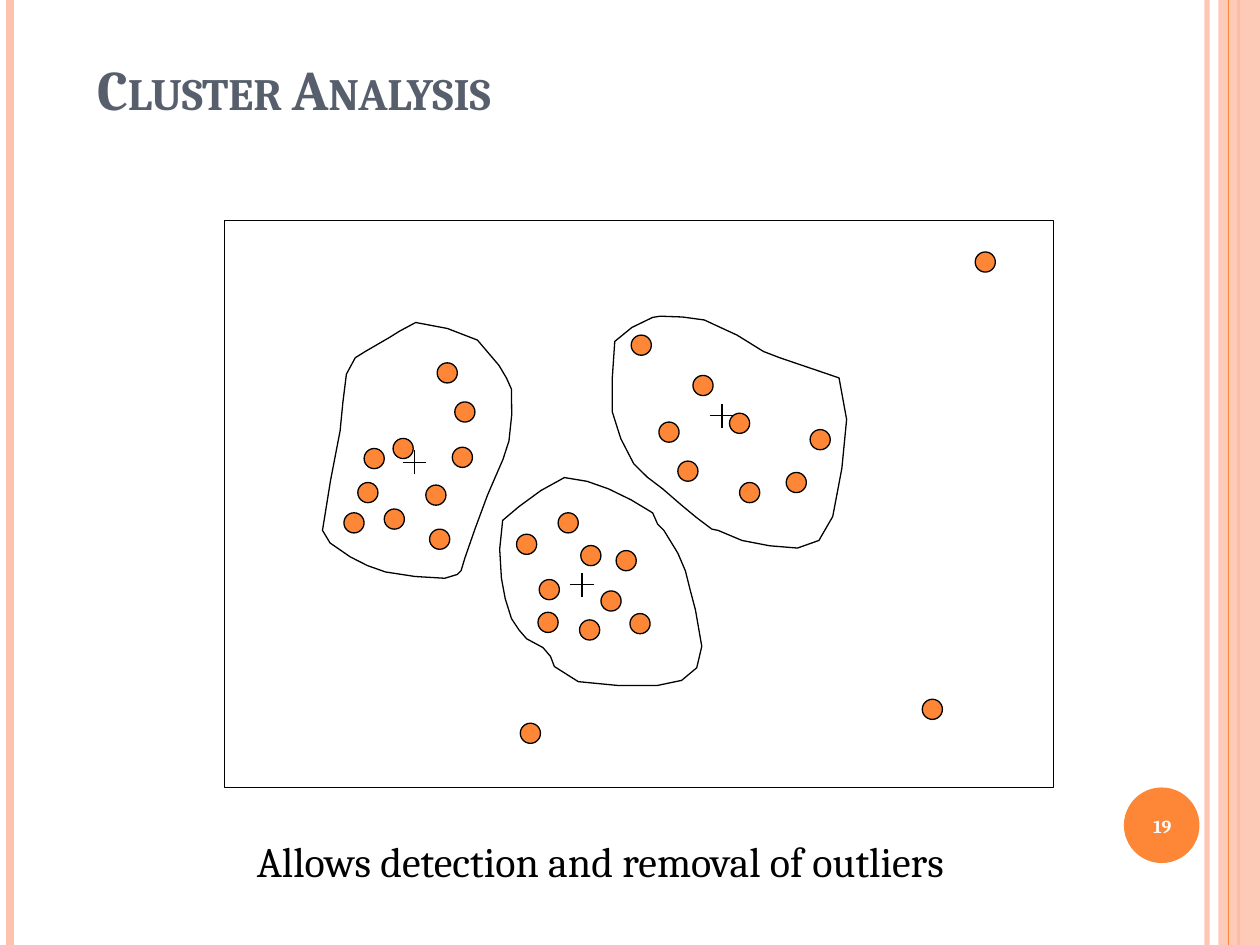
import math

import pptx
import pptx.util
import pptx.dml.color
import pptx.enum.shapes
import pptx.enum.text
import pptx.oxml.ns
import lxml.etree

Inches = pptx.util.Inches
SHAPE = pptx.enum.shapes.MSO_SHAPE
ALIGN = pptx.enum.text.PP_ALIGN
ANCHOR = pptx.enum.text.MSO_ANCHOR
qn = pptx.oxml.ns.qn

COLORS = {"orange": "FE8637", "peach": "FEC3AE", "slate": "575F6D",
          "white": "FFFFFF", "black": "000000"}
DOT = 0.16
CROSS = 0.19
OUTLIERS = [(7.32, 5.55), (4.13, 5.74), (7.74, 2)]
CLUSTERS = [
    {"center": (3.29, 3.67),
     "dots": [(3.05, 4.04), (2.84, 3.83), (3.38, 3.85), (3.12, 3.48), (2.73, 4.07),
              (2.89, 3.56), (3.41, 4.2), (3.59, 3.55), (3.61, 3.19), (3.47, 2.88)],
     "outline": [(3.87, 3.93), (3.77, 4.2), (3.69, 4.43), (3.66, 4.53), (3.63, 4.56),
                 (3.53, 4.59), (3.06, 4.54), (2.78, 4.42), (2.62, 4.31), (2.56, 4.21),
                 (2.7, 3.42), (2.75, 2.97), (2.82, 2.84), (2.9, 2.79), (3.09, 2.68),
                 (3.17, 2.63), (3.3, 2.56), (3.79, 2.7), (3.96, 2.9), (4.02, 3),
                 (4.06, 3.09), (4.04, 3.5), (3.93, 3.79)]},
    {"center": (5.73, 3.3),
     "dots": [(5.5, 2.98), (5.38, 3.66), (5.79, 3.28), (5.23, 3.35), (6.43, 3.41),
              (6.24, 3.75), (5.87, 3.83), (5.01, 2.66)],
     "outline": [(6.66, 3), (6.72, 3.33), (6.61, 4.1), (6.5, 4.29), (6.33, 4.35),
                 (5.89, 4.29), (5.7, 4.21), (5.65, 4.2), (5.41, 4.01), (5.26, 3.88),
                 (5.03, 3.68), (4.86, 3.27), (4.86, 3), (4.88, 2.71), (5.18, 2.52),
                 (5.24, 2.51), (5.59, 2.54), (5.85, 2.66), (6.06, 2.79), (6.19, 2.84)]},
    {"center": (4.62, 4.64),
     "dots": [(4.1, 4.24), (4.89, 4.37), (4.6, 4.92), (4.77, 4.69), (4.28, 4.6),
              (4.27, 4.86), (4.43, 4.07), (4.61, 4.33), (5, 4.87)],
     "outline": [(4.37, 5.21), (4.31, 5.14), (4.18, 5.07), (4.12, 5), (4.06, 4.91),
                 (3.98, 4.59), (3.99, 4.13), (4.12, 4.02), (4.48, 3.79), (4.66, 3.82),
                 (4.83, 3.88), (5.18, 4.07), (5.22, 4.16), (5.27, 4.21), (5.38, 4.39),
                 (5.44, 4.53), (5.48, 4.69), (5.52, 4.84), (5.57, 5.13), (5.53, 5.3),
                 (5.41, 5.4), (5.22, 5.44), (4.59, 5.41), (4.4, 5.29)]},
]


def rgb(name):
    """Return the palette colour of that name."""
    return pptx.dml.color.RGBColor.from_string(COLORS[name])


def set_alpha(element, percent):
    """Make the solid colour inside an element partly transparent."""
    color = next(element.iter(qn("a:srgbClr")))
    lxml.etree.SubElement(color, qn("a:alpha")).set("val", str(percent * 1000))


def write(sp, text, size, color, bold=False, small_caps=False,
          align=ALIGN.LEFT, anchor=ANCHOR.TOP):
    """Put one formatted paragraph into a shape."""
    tf = sp.text_frame
    tf.word_wrap = True
    tf.auto_size = pptx.enum.text.MSO_AUTO_SIZE.NONE
    tf.vertical_anchor = anchor
    p = tf.paragraphs[0]
    p.alignment = align
    r = p.add_run()
    r.text = text
    r.font.name = "Cambria"
    r.font.size = pptx.util.Pt(size)
    r.font.bold = bold
    r.font.color.rgb = rgb(color)
    if small_caps:
        r.font._element.set("cap", "small")


def add_text(s, x, y, w, h, text, size, color, **fmt):
    """Add a text box."""
    sp = s.shapes.add_textbox(Inches(x), Inches(y), Inches(w), Inches(h))
    write(sp, text, size, color, **fmt)


def style(sp, fill=None, line=None):
    """Set fill and thin outline, and drop the shadow."""
    sp.shadow.inherit = False
    if fill:
        sp.fill.solid()
        sp.fill.fore_color.rgb = rgb(fill)
    else:
        sp.fill.background()
    if line:
        sp.line.color.rgb = rgb(line)
        sp.line.width = pptx.util.Pt(0.75)
    else:
        sp.line.fill.background()


def add_shape(s, kind, x, y, w, h, fill=None, line=None):
    """Add a preset shape."""
    sp = s.shapes.add_shape(kind, Inches(x), Inches(y), Inches(w), Inches(h))
    style(sp, fill, line)
    return sp


def add_line(s, x1, y1, x2, y2, color="black", width=0.75):
    """Add a straight line without a shadow."""
    c = s.shapes.add_connector(pptx.enum.shapes.MSO_CONNECTOR.STRAIGHT,
                               Inches(x1), Inches(y1), Inches(x2), Inches(y2))
    c.line.color.rgb = rgb(color)
    c.line.width = pptx.util.Pt(width)
    lxml.etree.SubElement(c._element.spPr, qn("a:effectLst"))
    return c


def add_dot(s, x, y):
    """Add one data point."""
    add_shape(s, SHAPE.FLOWCHART_CONNECTOR, x, y, DOT, DOT, "orange", "black")


def add_cross(s, x, y):
    """Mark a cluster centre."""
    half = CROSS / 2
    add_line(s, x - half, y, x + half, y)
    add_line(s, x, y + half, x, y - half)


def round_long_sides(points, limit=0.3):
    """Add a bulging middle point to each long side of a closed outline."""
    n = len(points)
    outline = []
    for i, (a, d) in enumerate(zip(points, points[1:] + points[:1])):
        outline.append(a)
        length = math.dist(a, d)
        if length > limit and 0 < i < n - 1:
            before, after = points[i - 1], points[(i + 2) % n]
            t1, t2 = math.dist(before, d), math.dist(a, after)
            outline.append([(a[k] + d[k]) / 2 + length / 8
                            * ((d[k] - before[k]) / t1 - (after[k] - a[k]) / t2)
                            for k in (0, 1)])
    return outline


def add_outline(s, points):
    """Draw the boundary of a cluster."""
    start, *rest = [(Inches(x), Inches(y)) for x, y in round_long_sides(points)]
    builder = s.shapes.build_freeform(*start)
    builder.add_line_segments(rest, close=True)
    style(builder.convert_to_shape(), line="black")


def add_decor(s):
    """Draw the side stripes and the page number badge."""
    stripe = add_line(s, 9.58, 0, 9.58, 7.5, "peach", 3)
    set_alpha(stripe._element, 93)
    add_line(s, 0.08, 0, 0.08, 7.5, "peach", 4.5)
    add_line(s, 9.83, 0, 9.83, 7.5, "orange", 1.5)
    band = add_shape(s, SHAPE.RECTANGLE, 9.67, 0, 0.33, 7.5, "peach")
    set_alpha(band._element, 87)
    add_line(s, 9.75, 0, 9.75, 7.5, "orange", 0.75)
    add_shape(s, SHAPE.OVAL, 8.92, 6.25, 0.6, 0.6, "orange")
    add_text(s, 8.89, 6.27, 0.67, 0.57, "19", 10.5, "white", bold=True,
             align=ALIGN.CENTER, anchor=ANCHOR.MIDDLE)


def main():
    """Build the slide and save it."""
    prs = pptx.Presentation()
    prs.slide_width, prs.slide_height = Inches(10), Inches(7.5)
    s = prs.slides.add_slide(prs.slide_layouts[5])
    add_decor(s)
    title = s.shapes.title
    title.left, title.top = Inches(0.67), Inches(0.35)
    title.width, title.height = Inches(4.75), Inches(0.67)
    write(title, "Cluster Analysis", 32, "slate", bold=True, small_caps=True,
          anchor=ANCHOR.BOTTOM)
    for x, y in OUTLIERS:
        add_dot(s, x, y)
    add_shape(s, SHAPE.RECTANGLE, 1.78, 1.75, 6.58, 4.5, line="black")
    for cluster in CLUSTERS:
        add_cross(s, *cluster["center"])
        for x, y in cluster["dots"]:
            add_dot(s, x, y)
        add_outline(s, cluster["outline"])
    add_text(s, 1.94, 6.58, 6.44, 0.5, "Allows detection and removal of outliers",
             24, "black")
    prs.save("out.pptx")


if __name__ == "__main__":
    main()
